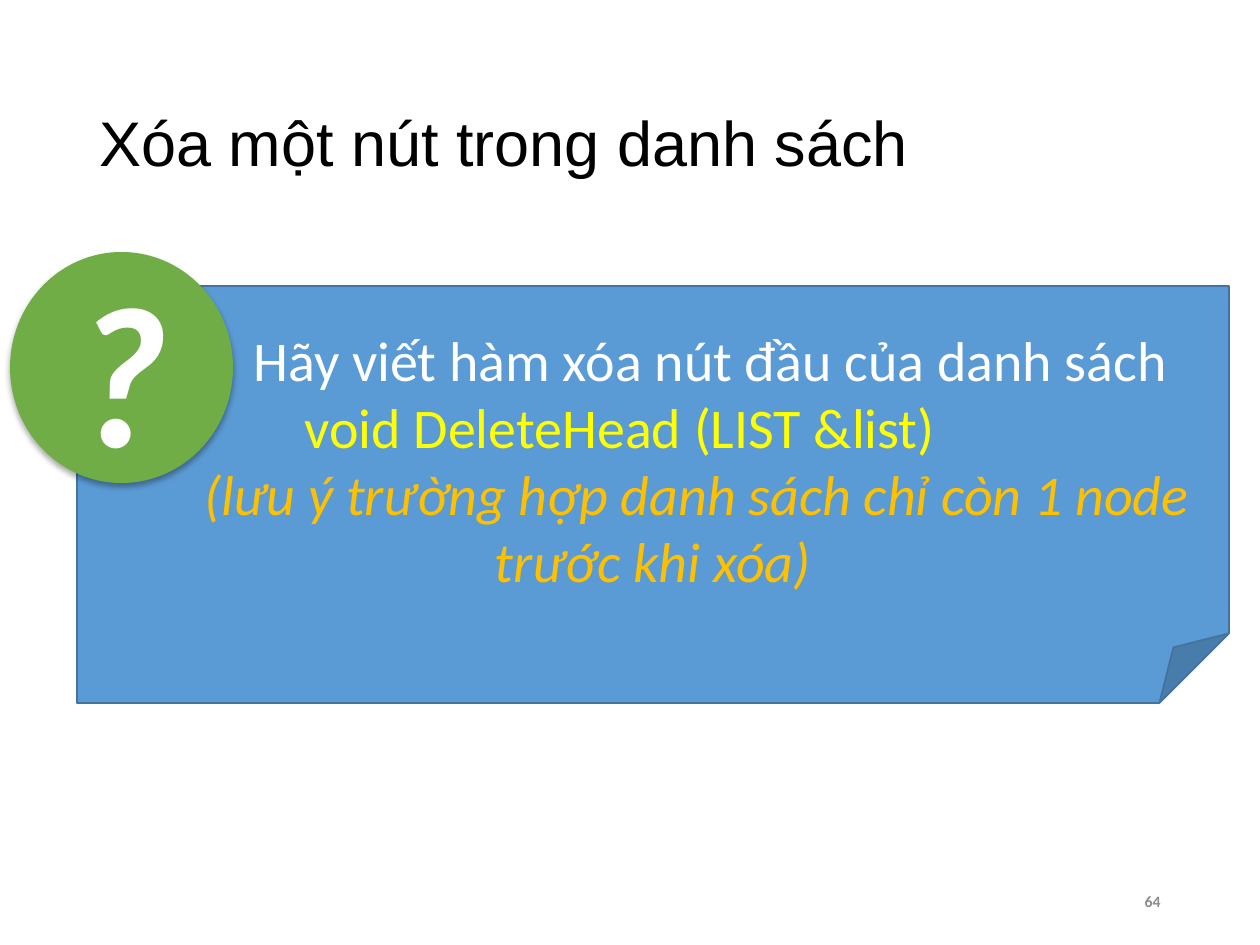
from lxml import etree
from pptx import Presentation
from pptx.dml.color import RGBColor
from pptx.enum.shapes import MSO_SHAPE
from pptx.enum.text import MSO_ANCHOR, PP_ALIGN
from pptx.oxml.ns import qn
from pptx.util import Emu, Pt

LEFT, CENTER, RIGHT = PP_ALIGN.LEFT, PP_ALIGN.CENTER, PP_ALIGN.RIGHT
MIDDLE = MSO_ANCHOR.MIDDLE
NOTE, CIRCLE = MSO_SHAPE.FOLDED_CORNER, MSO_SHAPE.OVAL


class Theme:
    heading, body = "Arial", "Calibri"
    black, white, gray = "000000", "FFFFFF", "8C8C8C"
    blue, blue_line, green = "5B9BD5", "43739E", "70AD47"
    yellow, orange = "FFFF00", "FFC000"
    title_size, task_size, number_size, mark_size = 36, 32, 9, 115


# Content: text, alignment, first-line indent in px, run style
TITLE = [("Xóa một nút trong danh sách", LEFT, 0,
          dict(font=Theme.heading, size=Theme.title_size, color=Theme.black))]
NUMBER = [("64", RIGHT, 0,
           dict(size=Theme.number_size, color=Theme.gray, bold=True))]
TASK = [
    ("Hãy viết hàm xóa nút đầu của danh sách", LEFT, 164,
     dict(size=Theme.task_size, color=Theme.white)),
    ("void DeleteHead (LIST &list)", LEFT, 215,
     dict(size=Theme.task_size, color=Theme.yellow)),
    ("(lưu ý trường hợp danh sách chỉ còn 1 node trước khi xóa)", CENTER, 88,
     dict(size=Theme.task_size, color=Theme.orange, italic=True)),
]
MARK = [("?", CENTER, 0, dict(size=Theme.mark_size, color=Theme.white,
                              bold=True, italic=True))]

# Places in px: left, top, width, height
TITLE_BOX = (87, 50, 1086, 183)
NUMBER_BOX = (834, 876, 339, 50)
TASK_BOX = (77, 286, 1152, 417)
MARK_BOX = (10, 252, 223, 231)


def px(n):
    return Emu(round(n * 914400 / 126))


def rgb(color):
    return RGBColor.from_string(color)


def write(sp, paragraphs):
    tf = sp.text_frame
    tf.word_wrap = True
    tf.vertical_anchor = MIDDLE
    for i, (text, align, indent, style) in enumerate(paragraphs):
        p = tf.paragraphs[0] if i == 0 else tf.add_paragraph()
        p.alignment = align
        if indent:
            pPr = p._p.get_or_add_pPr()
            pPr.set("marL", "0")
            pPr.set("indent", str(px(indent)))
        r = p.add_run()
        r.text = text
        r.font.name = style.get("font", Theme.body)
        r.font.size = Pt(style["size"])
        r.font.color.rgb = rgb(style["color"])
        r.font.bold = style.get("bold", False)
        r.font.italic = style.get("italic", False)


def add_text(shapes, box, paragraphs):
    write(shapes.add_textbox(*map(px, box)), paragraphs)


def add_panel(shapes, kind, box, fill, paragraphs, line=None):
    sp = shapes.add_shape(kind, *map(px, box))
    sp.shadow.inherit = False
    sp.fill.solid()
    sp.fill.fore_color.rgb = rgb(fill)
    if line:
        sp.line.color.rgb = rgb(line)
        sp.line.width = Pt(1)
    else:
        sp.line.fill.background()
    write(sp, paragraphs)
    return sp


def add_shadow(sp, blur, distance, opacity):
    effects = sp._element.spPr.find(qn("a:effectLst"))
    shadow = etree.SubElement(effects, qn("a:outerShdw"), blurRad=str(Pt(blur)),
                              dist=str(Pt(distance)), dir="5400000",
                              algn="ctr", rotWithShape="0")
    color = etree.SubElement(shadow, qn("a:srgbClr"), val=Theme.black)
    etree.SubElement(color, qn("a:alpha"), val=str(opacity * 1000))


def main():
    prs = Presentation()
    prs.slide_width, prs.slide_height = px(1260), px(945)
    s = prs.slides.add_slide(prs.slide_layouts[6])

    # Title and slide number
    add_text(s.shapes, TITLE_BOX, TITLE)
    add_text(s.shapes, NUMBER_BOX, NUMBER)

    # Task note with its question mark
    group = s.shapes.add_group_shape()
    add_panel(group.shapes, NOTE, TASK_BOX, Theme.blue, TASK, Theme.blue_line)
    mark = add_panel(group.shapes, CIRCLE, MARK_BOX, Theme.green, MARK)
    add_shadow(mark, 3.5, 2.2, 32)

    prs.save("out.pptx")


if __name__ == "__main__":
    main()
